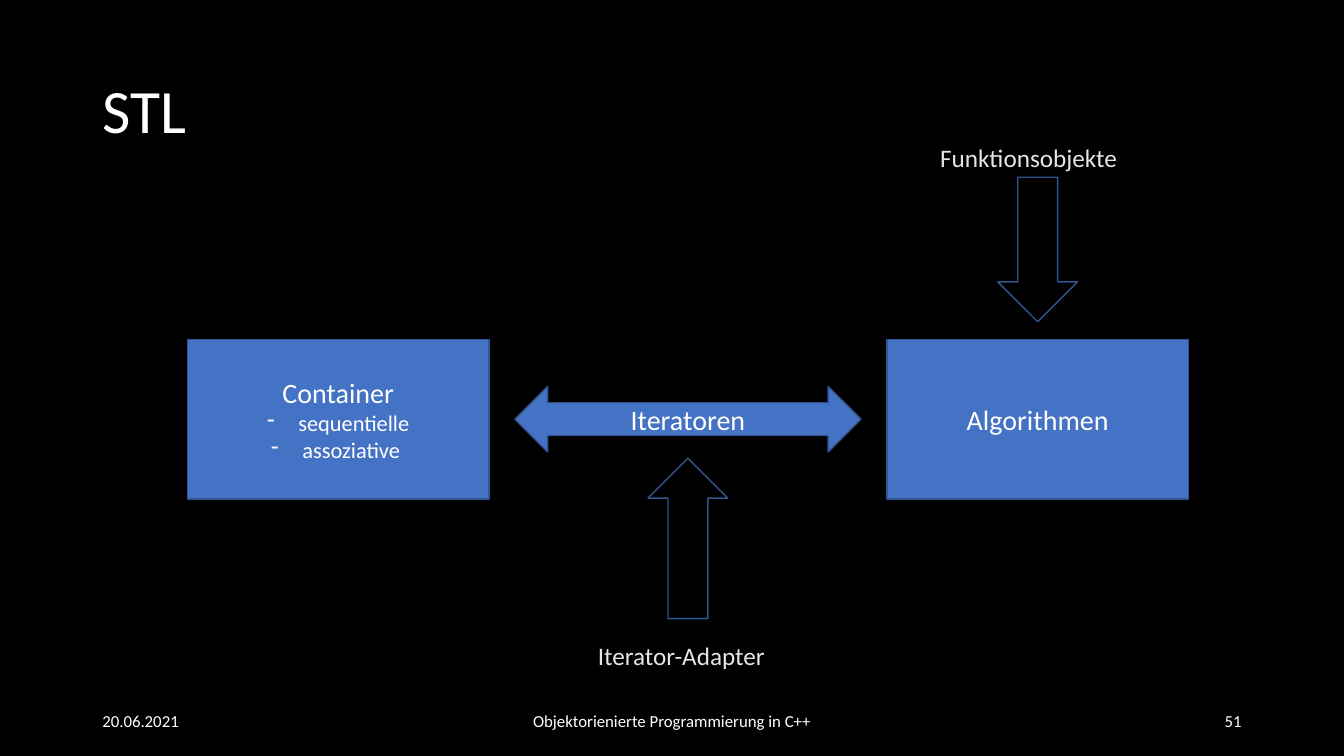
from lxml.etree import SubElement
from pptx import Presentation
from pptx.dml.color import RGBColor
from pptx.enum.shapes import MSO_SHAPE
from pptx.enum.text import MSO_ANCHOR, PP_ALIGN
from pptx.oxml.ns import qn
from pptx.util import Inches, Pt

COLUMNS, ROWS = 160, 90
COLORS = {"background": "000000", "text": "FFFFFF", "label": "E7E6E6",
          "fill": "4472C4", "line": "325491"}


class SlideBuilder:
    """Places elements by their centre on a grid of columns and rows."""

    font = "Calibri"

    def __init__(self, presentation):
        self.column = presentation.slide_width / COLUMNS
        self.row = presentation.slide_height / ROWS
        self.slide = presentation.slides.add_slide(presentation.slide_layouts[5])
        background = self.slide.background.fill
        background.solid()
        background.fore_color.rgb = self.color("background")

    def color(self, name):
        return RGBColor.from_string(COLORS[name])

    def frame(self, center, size):
        (x, y), (width, height) = center, size
        return (round((x - width / 2) * self.column), round((y - height / 2) * self.row),
                round(width * self.column), round(height * self.row))

    def set_text(self, shape, text, size, color="text", align=PP_ALIGN.CENTER,
                 anchor=MSO_ANCHOR.MIDDLE, wrap=True):
        text_frame = shape.text_frame
        text_frame.text = text
        text_frame.word_wrap = wrap
        text_frame.vertical_anchor = anchor
        for paragraph in text_frame.paragraphs:
            paragraph.alignment = align
            for run in paragraph.runs:
                run.font.name = self.font
                run.font.size = Pt(size)
                run.font.color.rgb = self.color(color)

    def title(self, text, center, size):
        title = self.slide.shapes.title
        title.left, title.top, title.width, title.height = self.frame(center, size)
        self.set_text(title, text, 44, align=PP_ALIGN.LEFT)
        title.text_frame.paragraphs[0].line_spacing = 0.9

    def text(self, text, center, size, points, **style):
        box = self.slide.shapes.add_textbox(*self.frame(center, size))
        self.set_text(box, text, points, **style)

    def shape(self, kind, center, size, text="", filled=True):
        shape = self.slide.shapes.add_shape(kind, *self.frame(center, size))
        shape.shadow.inherit = False
        if filled:
            shape.fill.solid()
            shape.fill.fore_color.rgb = self.color("fill")
        else:
            shape.fill.background()
        shape.line.color.rgb = self.color("line")
        shape.line.width = Pt(1)
        if text:
            self.set_text(shape, text, 20)
        return shape

    def dash_list(self, paragraphs, points):
        for paragraph in paragraphs:
            properties = paragraph._p.get_or_add_pPr()
            properties.set("marL", str(Inches(0.31)))
            properties.set("indent", str(Inches(-0.31)))
            SubElement(properties, qn("a:buChar")).set("char", "-")
            for run in paragraph.runs:
                run.font.size = Pt(points)


def main():
    presentation = Presentation()
    presentation.slide_width = Inches(13.33)
    presentation.slide_height = Inches(7.5)
    builder = SlideBuilder(presentation)

    # Title and footer
    builder.title("STL", (80, 13.5), (138, 17.4))
    for text, x, width, align in (
            ("20.06.2021", 29, 36, PP_ALIGN.LEFT),
            ("Objektorienierte Programmierung in C++", 80, 54, PP_ALIGN.CENTER),
            ("51", 131, 36, PP_ALIGN.RIGHT)):
        builder.text(text, (x, 85.8), (width, 4.8), 12, align=align)

    # Main row: containers, iterators, algorithms
    container_x, iterator_x, algorithm_x = (81.9 + step * 41.64 for step in (-1, 0, 1))
    middle, box_size = 49.9, (35.9, 19)
    container = builder.shape(MSO_SHAPE.RECTANGLE, (container_x, middle), box_size,
                              "Container\nsequentielle\nassoziative ")
    builder.dash_list(container.text_frame.paragraphs[1:], 16)
    builder.shape(MSO_SHAPE.RECTANGLE, (algorithm_x, middle), box_size, "Algorithmen")
    builder.shape(MSO_SHAPE.LEFT_RIGHT_ARROW, (iterator_x, middle), (41.2, 7.8), "Iteratoren")

    # Outlined arrows with their labels
    for text, kind, x, arrow_y, length, label_y, label_width in (
            ("Funktionsobjekte", MSO_SHAPE.DOWN_ARROW, algorithm_x, 29.7, 17.2, 18.7, 25.6),
            ("Iterator-Adapter", MSO_SHAPE.UP_ARROW, iterator_x, 64.1, 19.1, 78.1, 23.8)):
        builder.shape(kind, (x, arrow_y), (9.5, length), filled=False)
        builder.text(text, (x, label_y), (label_width, 4.8), 18, color="label",
                     align=PP_ALIGN.LEFT, anchor=MSO_ANCHOR.TOP, wrap=False)

    presentation.save("out.pptx")


if __name__ == "__main__":
    main()
